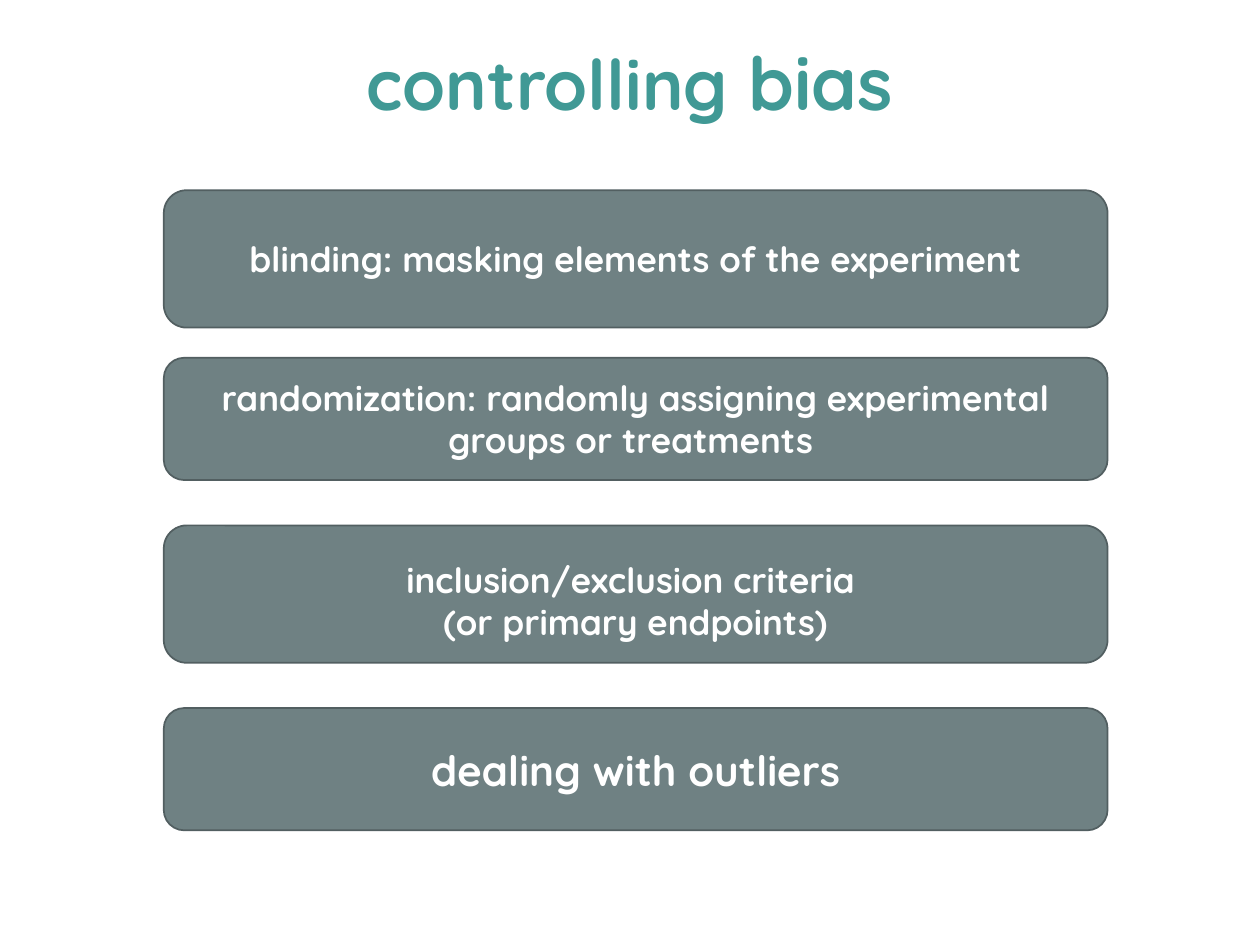
from dataclasses import dataclass

from pptx import Presentation
from pptx.dml.color import RGBColor
from pptx.enum import shapes, text
from pptx.util import Inches, Pt


@dataclass(frozen=True)
class Theme:
    font: str = "Quicksand"
    title: str = "409995"
    card: str = "6F8183"
    outline: str = "525F61"
    card_text: str = "FFFFFF"
    title_size: int = 40
    title_accent_size: int = 42
    body_size: int = 20
    large_size: int = 24


THEME = Theme()


def style_span(span, size, color):
    span.font.name = THEME.font
    span.font.size = Pt(size)
    span.font.bold = True
    span.font.color.rgb = RGBColor.from_string(color)


def add_title(page, left, top, width, height):
    box = page.shapes.add_textbox(*map(Inches, (left, top, width, height)))
    frame = box.text_frame
    frame.word_wrap = True
    frame.vertical_anchor = text.MSO_ANCHOR.MIDDLE
    para = frame.paragraphs[0]
    para.alignment = text.PP_ALIGN.CENTER
    para.line_spacing = 0.9
    for words, size in (("controlling", THEME.title_size),
                        (" bias", THEME.title_accent_size)):
        span = para.add_run()
        span.text = words
        style_span(span, size, THEME.title)


def add_card(page, left, top, width, height, words, size, top_inset=0.05):
    card = page.shapes.add_shape(shapes.MSO_SHAPE.ROUNDED_RECTANGLE,
                                 *map(Inches, (left, top, width, height)))
    card.shadow.inherit = False
    card.fill.solid()
    card.fill.fore_color.rgb = RGBColor.from_string(THEME.card)
    card.line.color.rgb = RGBColor.from_string(THEME.outline)
    card.line.width = Pt(1)
    frame = card.text_frame
    frame.word_wrap = True
    frame.vertical_anchor = text.MSO_ANCHOR.MIDDLE
    frame.margin_top = Inches(top_inset)
    frame.text = words
    for para in frame.paragraphs:
        para.alignment = text.PP_ALIGN.CENTER
        for span in para.runs:
            style_span(span, size, THEME.card_text)


def add_methods(page, left, width):
    # Top, height, wording, type size and top inset of each card
    cards = (
        (1.51, 1.09, "blinding: masking elements of the experiment",
         THEME.body_size, 0.05),
        (2.84, 0.97, "randomization: randomly assigning experimental "
         "groups or treatments ", THEME.body_size, 0.05),
        (4.17, 1.09, "inclusion/exclusion criteria \n(or primary endpoints)",
         THEME.body_size, 0.15),
        (5.62, 0.97, "dealing with outliers", THEME.large_size, 0.05),
    )
    for top, height, words, size, inset in cards:
        add_card(page, left, top, width, height, words, size, inset)


def main():
    deck = Presentation()
    deck.slide_width, deck.slide_height = Inches(10), Inches(7.5)
    page = deck.slides.add_slide(deck.slide_layouts[6])
    add_title(page, 0, 0.23, 10, 0.92)
    add_methods(page, 1.3, 7.49)
    deck.save("out.pptx")


if __name__ == "__main__":
    main()
